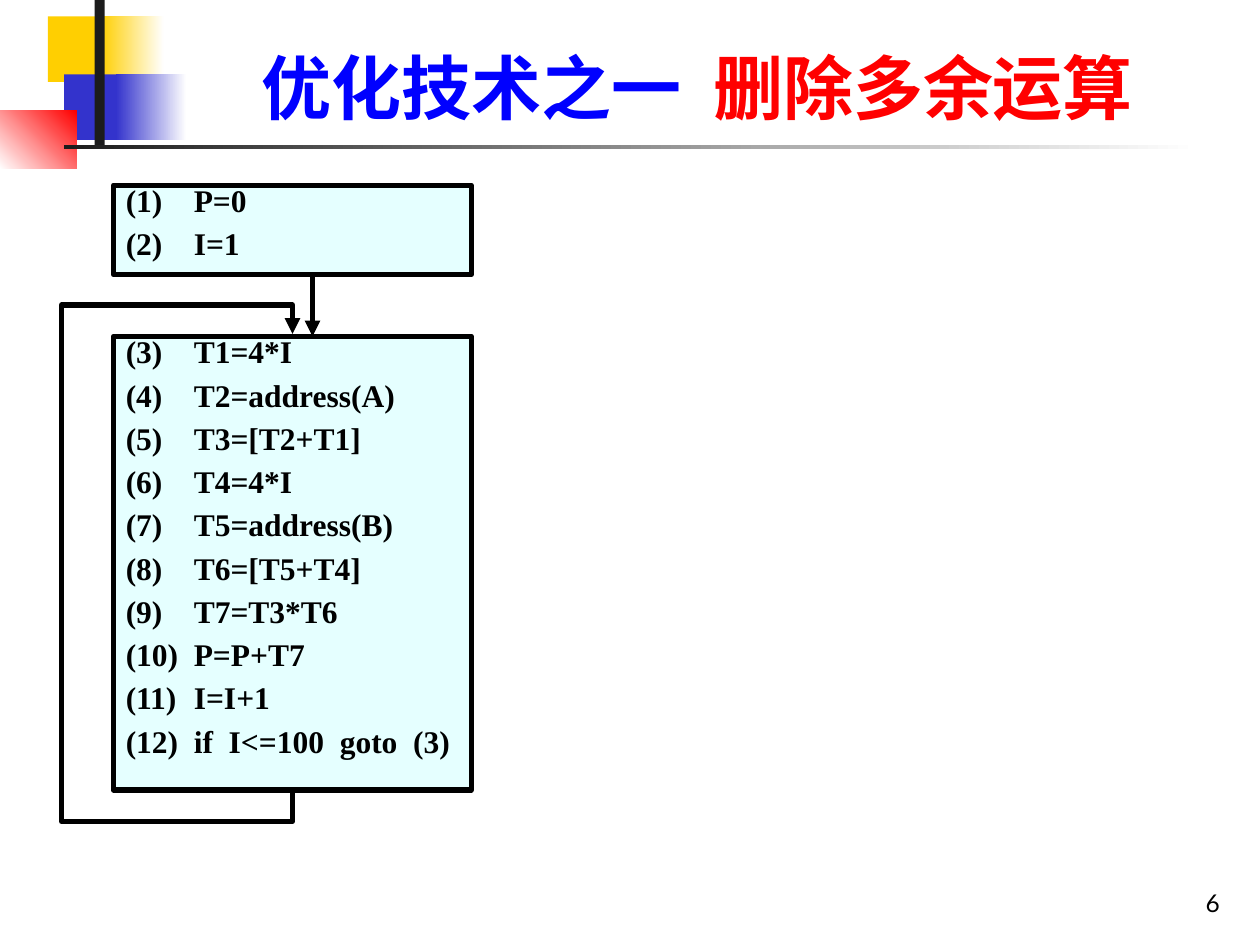
import pptx
import pptx.util
from pptx.dml.color import RGBColor
from pptx.enum.shapes import MSO_CONNECTOR, MSO_SHAPE
from pptx.enum.text import MSO_ANCHOR, PP_ALIGN
from pptx.oxml.ns import qn
from lxml import etree

Inches, Pt = pptx.util.Inches, pptx.util.Pt

# Content
TITLE = [("优化技术之一  ", "0000FF"), ("删除多余运算", "FF0000")]
PAGE_NUMBER = "6"
INIT_BLOCK = [("(1)", "P=0"), ("(2)", "I=1")]
LOOP_BLOCK = [
    ("(3)", "T1=4*I"),
    ("(4)", "T2=address(A)"),
    ("(5)", "T3=[T2+T1]"),
    ("(6)", "T4=4*I"),
    ("(7)", "T5=address(B)"),
    ("(8)", "T6=[T5+T4]"),
    ("(9)", "T7=T3*T6"),
    ("(10)", "P=P+T7"),
    ("(11)", "I=I+1"),
    ("(12)", "if  I<=100  goto  (3)"),
]
# Decoration: left, top, width, height, colours (two make a gradient), angle
DECORATION = [
    (0.38, 0.13, 0.67, 0.52, ["FFCF01"], 0),
    (0.8, 0.13, 0.5, 0.52, ["FFCF01", "FFFFFF"], 0),
    (0.51, 0.59, 0.64, 0.52, ["3333CC"], 0),
    (0.92, 0.59, 0.56, 0.52, ["3333CC", "FFFFFF"], 0),
    (0, 0.88, 0.61, 0.46, ["FFFFFF", "FF0000"], 45),
    (0.75, 0, 0.08, 1.15, ["1C1C1C"], 0),
    (0.51, 1.15, 9, 0.03, ["1C1C1C", "FFFFFF"], 0),
]

# Layout in inches
BLOCK_LEFT, BLOCK_WIDTH = 0.9, 2.84
INIT_TOP, INIT_HEIGHT = 1.47, 0.71
LOOP_TOP, LOOP_HEIGHT = 2.67, 3.6
ENTRY_X, BACK_X, BACK_LEFT = 2.48, 2.32, 0.46
BACK_START, BACK_END, BACK_OVERHANG = 6.29, 2.65, 0.23
CODE_TAB = 0.54

CODE_FONT = {"name": "Times New Roman", "size": Pt(18), "bold": True}
TITLE_FONT = {"name": "Noto Sans CJK SC", "size": Pt(40), "bold": True}
NUMBER_FONT = {"name": "Lato", "size": Pt(14)}
CODE_PARAGRAPH = {"alignment": PP_ALIGN.LEFT, "line_spacing": 0.7}


def rgb(value):
    return RGBColor.from_string(value)


def set_values(target, values):
    for name, value in values.items():
        setattr(target, name, value)


def add_run(paragraph, text, font_values, color):
    run = paragraph.add_run()
    run.text = text
    set_values(run.font, font_values)
    run.font.color.rgb = rgb(color)
    return run


def add_rectangle(slide, left, top, width, height):
    shape = slide.shapes.add_shape(
        MSO_SHAPE.RECTANGLE, Inches(left), Inches(top), Inches(width), Inches(height))
    shape.shadow.inherit = False
    return shape


def add_decoration(slide, left, top, width, height, colors, angle):
    shape = add_rectangle(slide, left, top, width, height)
    shape.line.fill.background()
    if len(colors) == 1:
        shape.fill.solid()
        shape.fill.fore_color.rgb = rgb(colors[0])
        return
    shape.fill.gradient()
    shape.fill.gradient_angle = angle
    for stop, color in zip(shape.fill.gradient_stops, colors):
        stop.color.rgb = rgb(color)


def add_code_block(slide, top, height, lines):
    shape = add_rectangle(slide, BLOCK_LEFT, top, BLOCK_WIDTH, height)
    shape.fill.solid()
    shape.fill.fore_color.rgb = rgb("CCFFFF")
    color = shape.fill._xPr.find(qn("a:solidFill"))[0]
    etree.SubElement(color, qn("a:alpha"), val="50000")
    shape.line.color.rgb = rgb("000000")
    shape.line.width = Pt(3)
    frame = shape.text_frame
    set_values(frame, {"word_wrap": True, "vertical_anchor": MSO_ANCHOR.TOP})
    for index, (number, code) in enumerate(lines):
        paragraph = frame.add_paragraph() if index else frame.paragraphs[0]
        set_values(paragraph, CODE_PARAGRAPH)
        if index:
            paragraph.space_before = Pt(9.6)
        tabs = etree.SubElement(paragraph._p.get_or_add_pPr(), qn("a:tabLst"))
        etree.SubElement(tabs, qn("a:tab"), pos=str(Inches(CODE_TAB)), algn="l")
        add_run(paragraph, f"{number}\t{code}", CODE_FONT, "000000")


def add_arrow(slide, kind, start, end):
    connector = slide.shapes.add_connector(kind, *map(Inches, start + end))
    connector.line.color.rgb = rgb("000000")
    connector.line.width = Pt(3)
    etree.SubElement(connector.line._get_or_add_ln(), qn("a:tailEnd"), type="triangle")
    etree.SubElement(connector._element.spPr, qn("a:effectLst"))
    return connector


def add_back_edge(slide):
    """Five-part elbow that leaves the loop below and re-enters it above."""
    connector = add_arrow(slide, MSO_CONNECTOR.ELBOW, (BACK_X, BACK_START), (BACK_X, BACK_END))
    length, thickness = BACK_START - BACK_END, 0.002
    set_values(connector, {
        "left": Inches(BACK_X - length / 2), "top": Inches((BACK_START + BACK_END) / 2),
        "width": Inches(length), "height": Inches(thickness)})
    transform = connector._element.spPr.find(qn("a:xfrm"))
    for name, value in {"rot": "5400000", "flipH": "1", "flipV": "1"}.items():
        transform.set(name, value)
    geometry = connector._element.spPr.find(qn("a:prstGeom"))
    geometry.set("prst", "bentConnector5")
    guides = geometry.find(qn("a:avLst"))
    if guides is None:
        guides = etree.SubElement(geometry, qn("a:avLst"))
    overhang = BACK_OVERHANG / length
    ratios = (-overhang, -(BACK_X - BACK_LEFT) / thickness, 1 + overhang)
    for index, ratio in enumerate(ratios, 1):
        etree.SubElement(guides, qn("a:gd"), name=f"adj{index}",
                         fmla=f"val {round(ratio * 100000)}")


def add_title(slide):
    title = slide.shapes.title
    set_values(title, {"left": Inches(1.26), "top": Inches(0.23),
                       "width": Inches(8.55), "height": Inches(0.84)})
    title.text_frame.vertical_anchor = MSO_ANCHOR.BOTTOM
    paragraph = title.text_frame.paragraphs[0]
    paragraph.alignment = PP_ALIGN.CENTER
    for text, color in TITLE:
        run = add_run(paragraph, text, TITLE_FONT, color)
        etree.SubElement(run._r.get_or_add_rPr(), qn("a:ea"), typeface=TITLE_FONT["name"])


def add_page_number(slide):
    box = slide.shapes.add_textbox(Inches(7.7), Inches(6.83), Inches(2.08), Inches(0.5))
    set_values(box.text_frame, {"word_wrap": True, "vertical_anchor": MSO_ANCHOR.BOTTOM})
    paragraph = box.text_frame.paragraphs[0]
    paragraph.alignment = PP_ALIGN.RIGHT
    add_run(paragraph, PAGE_NUMBER, NUMBER_FONT, "000000")


def main():
    presentation = pptx.Presentation()
    presentation.slide_width, presentation.slide_height = Inches(10), Inches(7.5)
    slide = presentation.slides.add_slide(presentation.slide_layouts[5])

    # Frame of the slide
    for item in DECORATION:
        add_decoration(slide, *item)
    add_page_number(slide)
    add_title(slide)

    # Flow graph
    add_code_block(slide, INIT_TOP, INIT_HEIGHT, INIT_BLOCK)
    add_arrow(slide, MSO_CONNECTOR.STRAIGHT,
              (ENTRY_X, INIT_TOP + INIT_HEIGHT), (ENTRY_X, LOOP_TOP))
    add_code_block(slide, LOOP_TOP, LOOP_HEIGHT, LOOP_BLOCK)
    add_back_edge(slide)

    presentation.save("out.pptx")


if __name__ == "__main__":
    main()
